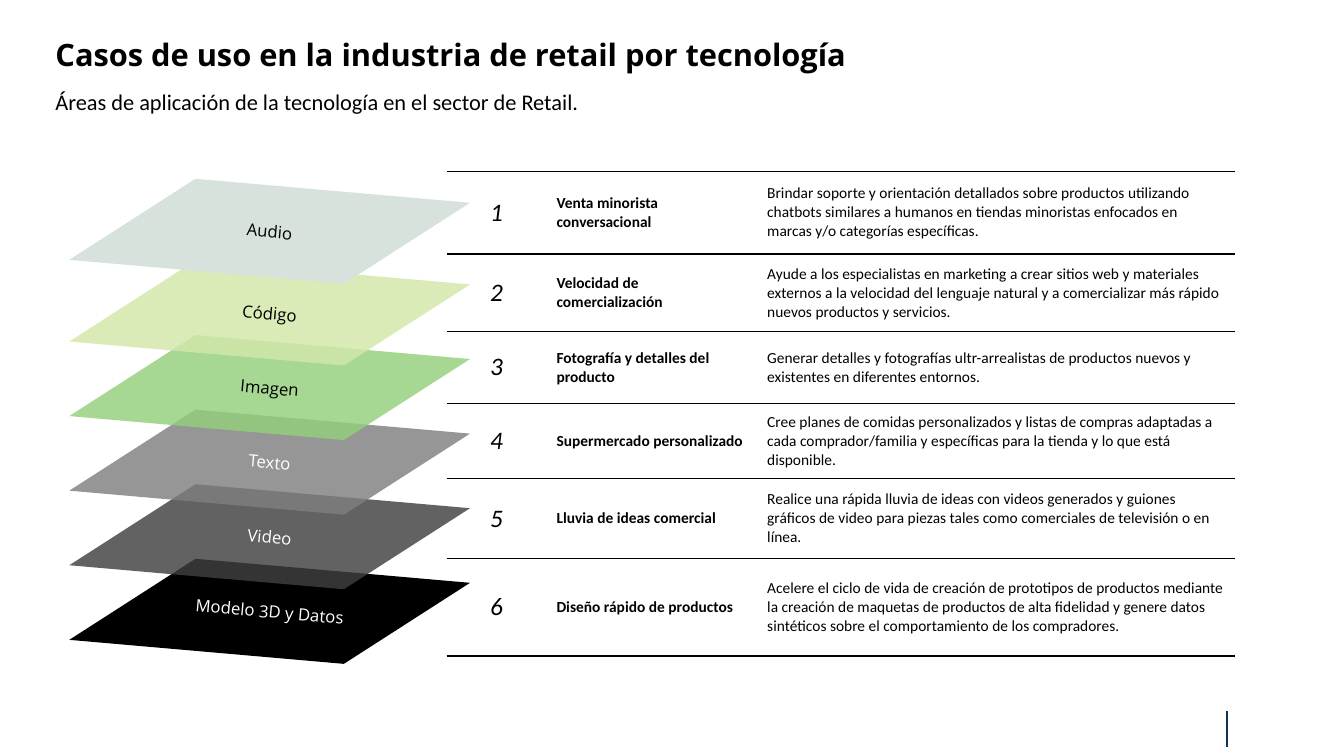
from lxml import etree
from pptx import Presentation
from pptx.dml.color import RGBColor
from pptx.enum.shapes import MSO_CONNECTOR as CONN, MSO_SHAPE as SHAPE
from pptx.enum.text import MSO_ANCHOR as ANCHOR, PP_ALIGN as ALIGN
from pptx.oxml import parse_xml
from pptx.oxml.ns import nsdecls, qn
from pptx.util import Inches, Pt

COLORS = {
    "black": "000000", "white": "FFFFFF", "navy": "0F3458", "mist": "D7E2DC",
    "lime": "D2E7A9", "green": "93D07D", "gray": "7F7F7F", "dark": "404040",
}
LAYERS = [
    ("Audio", "mist", "black", 100),
    ("Código", "lime", "black", 82),
    ("Imagen", "green", "black", 82),
    ("Texto", "gray", "white", 82),
    ("Video", "dark", "white", 82),
    ("Modelo 3D y Datos", "black", "white", 100),
]
USE_CASES = [
    ("Venta minorista conversacional", 0.82,
     "Brindar soporte y orientación detallados sobre productos utilizando chatbots similares a "
     "humanos en tiendas minoristas enfocados en marcas y/o categorías específicas."),
    ("Velocidad de comercialización", 0.77,
     "Ayude a los especialistas en marketing a crear sitios web y materiales externos a la "
     "velocidad del lenguaje natural y a comercializar más rápido nuevos productos y servicios."),
    ("Fotografía y detalles del producto", 0.71,
     "Generar detalles y fotografías ultr-arrealistas de productos nuevos y existentes en "
     "diferentes entornos."),
    ("Supermercado personalizado", 0.75,
     "Cree planes de comidas personalizados y listas de compras adaptadas a cada "
     "comprador/familia y específicas para la tienda y lo que está disponible."),
    ("Lluvia de ideas comercial", 0.79,
     "Realice una rápida lluvia de ideas con videos generados y guiones gráficos de video para "
     "piezas tales como comerciales de televisión o en línea."),
    ("Diseño rápido de productos", 0.97,
     "Acelere el ciclo de vida de creación de prototipos de productos mediante la creación de "
     "maquetas de productos de alta fidelidad y genere datos sintéticos sobre el comportamiento "
     "de los compradores."),
]


def rgb(name):
    """Return the named colour."""
    return RGBColor.from_string(COLORS[name])


def write(tf, text, size, font="Calibri", color="black", bold=False, italic=False,
          align=ALIGN.LEFT):
    """Put one formatted paragraph into a text frame."""
    tf.word_wrap = True
    p = tf.paragraphs[0]
    p.alignment = align
    r = p.add_run()
    r.text = text
    r.font.size, r.font.name = Pt(size), font
    r.font.bold, r.font.italic = bold, italic
    r.font.color.rgb = rgb(color)


def add_heading(s, x, y, w):
    """Place the title and the subtitle below it."""
    title = s.shapes.title
    subtitle = s.shapes.add_textbox(0, 0, 0, 0)
    for sp, dy, h in ((title, 0, 0.37), (subtitle, 0.52, 0.27)):
        sp.left, sp.top, sp.width, sp.height = map(Inches, (x, y + dy, w, h))
        tf = sp.text_frame
        tf.margin_left = tf.margin_right = tf.margin_top = tf.margin_bottom = 0
        tf.vertical_anchor = ANCHOR.MIDDLE
    write(title.text_frame, "Casos de uso en la industria de retail por tecnología", 22,
          font="Open Sans", bold=True)
    write(subtitle.text_frame, "Áreas de aplicación de la tecnología en el sector de Retail.", 16)


def set_borders(cell):
    """Rule a cell above and below only."""
    tc_pr = cell._tc.get_or_add_tcPr()
    rule = f'<a:solidFill><a:srgbClr val="{COLORS["black"]}"/></a:solidFill>'
    sides = (("lnL", "<a:noFill/>"), ("lnR", "<a:noFill/>"), ("lnT", rule), ("lnB", rule))
    for i, (side, fill) in enumerate(sides):
        tc_pr.insert(i, parse_xml(f'<a:{side} {nsdecls("a")} w="12700">{fill}</a:{side}>'))


def add_use_cases(s, x, y, widths):
    """Build the table of numbered use cases."""
    heights = [h for _, h, _ in USE_CASES]
    frame = s.shapes.add_table(len(USE_CASES), len(widths), Inches(x), Inches(y),
                               Inches(sum(widths)), Inches(sum(heights)))
    table = frame.table
    table.first_row = table.horz_banding = False
    for col, w in zip(table.columns, widths):
        col.width = Inches(w)
    formats = (dict(size=18, italic=True, align=ALIGN.CENTER),
               dict(size=11, bold=True), dict(size=11))
    for i, (name, h, detail) in enumerate(USE_CASES):
        table.rows[i].height = Inches(h)
        for j, text in enumerate((str(i + 1), name, detail)):
            cell = table.cell(i, j)
            cell.fill.background()
            set_borders(cell)
            cell.vertical_anchor = ANCHOR.MIDDLE
            write(cell.text_frame, text, **formats[j])


def add_layers(s, x, y, w, h, step=0.74, top_gap=0.07):
    """Stack the tilted technology layers from bottom to top."""
    for i, (label, fill, color, alpha) in reversed(list(enumerate(LAYERS))):
        top = y + i * step + (top_gap if i else 0)
        sp = s.shapes.add_shape(SHAPE.PARALLELOGRAM, Inches(x), Inches(top),
                                Inches(w), Inches(h))
        sp.adjustments[0] = 1.293
        sp.rotation = 5
        sp.shadow.inherit = False
        sp.line.fill.background()
        sp.fill.solid()
        sp.fill.fore_color.rgb = rgb(fill)
        if alpha < 100:
            clr = sp._element.spPr.find(".//" + qn("a:srgbClr"))
            etree.SubElement(clr, qn("a:alpha"), val=str(alpha * 1000))
        sp.text_frame.vertical_anchor = ANCHOR.MIDDLE
        write(sp.text_frame, label, 12, font="Open Sans", color=color, align=ALIGN.CENTER)


def add_footer_mark(s, x, y, h):
    """Draw the vertical line at the foot of the slide."""
    line = s.shapes.add_connector(CONN.STRAIGHT, Inches(x), Inches(y), Inches(x), Inches(y + h))
    line.line.color.rgb = rgb("navy")
    line.line.width = Pt(1.5)
    etree.SubElement(line._element.spPr, qn("a:effectLst"))


def main():
    """Build and save the slide."""
    prs = Presentation()
    prs.slide_width, prs.slide_height = Inches(13.33), Inches(7.5)
    s = prs.slides.add_slide(prs.slide_layouts[5])
    add_footer_mark(s, 12.17, 7.05, 0.36)
    add_use_cases(s, 4.43, 1.7, (0.99, 2.09, 4.74))
    add_heading(s, 0.55, 0.35, 12.25)
    add_layers(s, 0.72, 1.84, 3.91, 0.91)
    prs.save("out.pptx")


if __name__ == "__main__":
    main()
